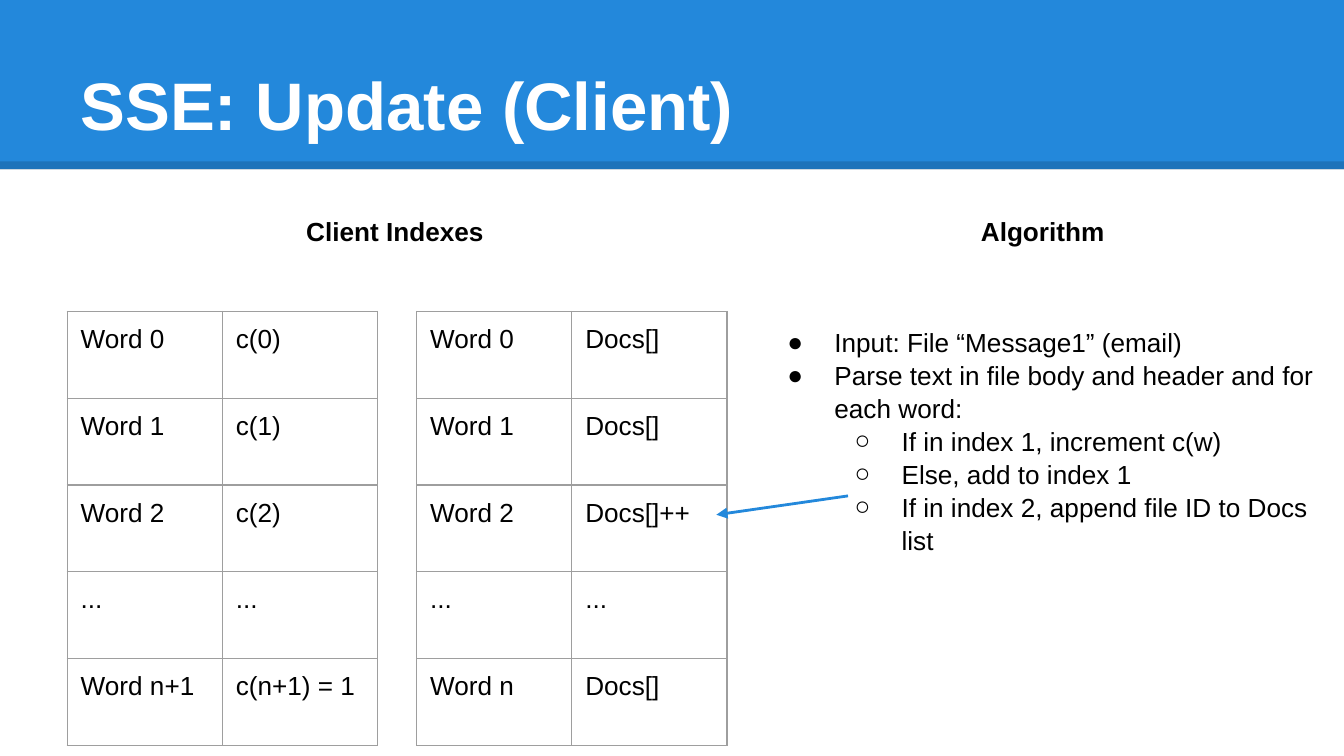
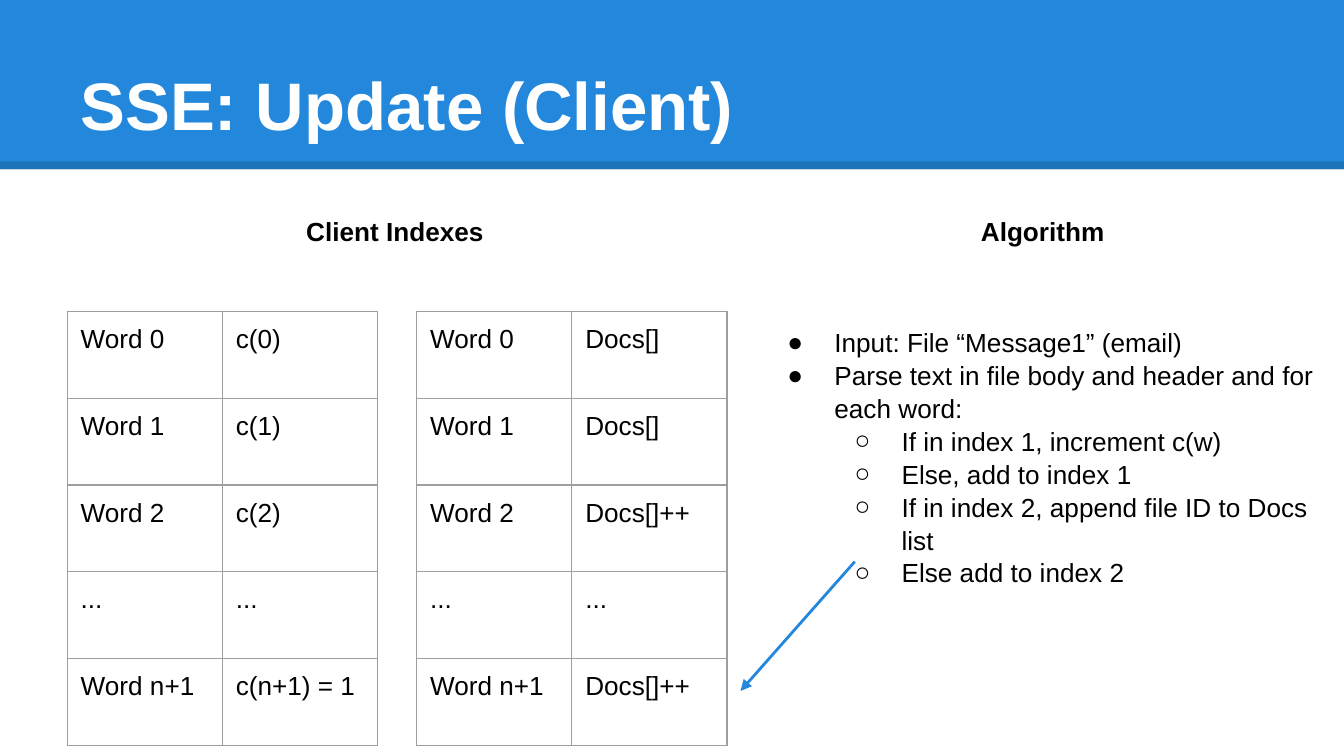
from lxml.etree import SubElement
from pptx import Presentation
from pptx.dml.color import RGBColor
from pptx.enum.shapes import MSO_CONNECTOR as Connector, MSO_SHAPE as Shape
from pptx.enum.text import MSO_ANCHOR as Anchor, MSO_AUTO_SIZE as AutoSize, PP_ALIGN as Align
from pptx.oxml import parse_xml
from pptx.oxml.ns import nsdecls, qn
from pptx.util import Inches, Pt

BLUE, WHITE, BLACK, GREY = "2388DB", "FFFFFF", "000000", "9E9E9E"
FONT, TITLE_SIZE, BODY_SIZE = "Arial", 36, 14
INSET = Inches(0.1)
BULLETS = "●○"
TITLE_ONLY = 5


def color(hex_code):
    return RGBColor.from_string(hex_code)


class Deck:
    """Holds the style and the current slide; all places are percent of the slide's size."""

    def __init__(self):
        self.prs = Presentation()
        self.prs.slide_width, self.prs.slide_height = Inches(10), Inches(5.625)
        self.layout = self.prs.slide_layouts[TITLE_ONLY]
        self.slide = None

    def x(self, percent):
        return round(self.prs.slide_width * percent / 100)

    def y(self, percent):
        return round(self.prs.slide_height * percent / 100)

    def box(self, left, top, width, height):
        return self.x(left), self.y(top), self.x(width), self.y(height)

    def style(self, frame, size=BODY_SIZE, ink=BLACK, bold=False):
        for paragraph in frame.paragraphs:
            for run in paragraph.runs:
                font = run.font
                font.name, font.size, font.bold = FONT, Pt(size), bold
                font.color.rgb = color(ink)

    def inset(self, holder):
        """Set the margins of a text frame or a table cell."""
        holder.margin_left = holder.margin_right = INSET
        holder.margin_top = holder.margin_bottom = INSET

    def new_slide(self, heading):
        first = self.slide is None
        self.slide = self.prs.slides.add_slide(self.layout)
        if first:
            self.header_band()
        title = self.slide.shapes.title
        title.left, title.top, title.width, title.height = self.box(5, 4.1, 90, 16.7)
        frame = title.text_frame
        frame.text = heading
        frame.auto_size, frame.vertical_anchor = AutoSize.NONE, Anchor.BOTTOM
        frame.paragraphs[0].alignment = Align.LEFT
        self.inset(frame)
        self.style(frame, TITLE_SIZE, WHITE, True)

    def header_band(self):
        """Draw the band and its dark edge, then move both to the layout behind the title."""
        band = self.slide.shapes.add_shape(Shape.RECTANGLE, *self.box(0, 0, 100, 22.4))
        band.shadow.inherit = False
        band.fill.solid()
        band.fill.fore_color.rgb = color(BLUE)
        band.line.fill.background()
        edge = self.line((0, 21.9), (100, 21.9), BLACK, 4.5)
        ink = edge.line._get_or_add_ln().find(".//" + qn("a:srgbClr"))
        SubElement(ink, qn("a:alpha"), val="15000")

        for placeholder in list(self.layout.placeholders):
            if placeholder.placeholder_format.idx:
                placeholder.element.getparent().remove(placeholder.element)
        tree = self.layout.placeholders[0].element.getparent()
        for position, part in enumerate((band, edge), start=2):
            tree.insert(position, part.element)

    def line(self, start, end, ink, weight):
        connector = self.slide.shapes.add_connector(
            Connector.STRAIGHT, self.x(start[0]), self.y(start[1]), self.x(end[0]), self.y(end[1]))
        connector.line.color.rgb = color(ink)
        connector.line.width = Pt(weight)
        SubElement(connector.element.spPr, qn("a:effectLst"))
        return connector

    def arrow(self, start, end):
        connector = self.line(start, end, BLUE, 1.5)
        SubElement(connector.line._get_or_add_ln(), qn("a:tailEnd"), type="triangle")

    def text(self, content, place, bold=False):
        frame = self.slide.shapes.add_textbox(*self.box(*place)).text_frame
        frame.word_wrap = True
        frame.text = content
        self.inset(frame)
        self.style(frame, bold=bold)
        return frame

    def bullets(self, items, place):
        """Write (level, text) items as a bulleted list."""
        frame = self.text("\n".join(item for _, item in items), place)
        for paragraph, (level, _) in zip(frame.paragraphs, items):
            paragraph.level = level
            paragraph.line_spacing = 1.05
            props = paragraph._p.get_or_add_pPr()
            props.set("marL", str(Inches(0.5 * (level + 1))))
            props.set("indent", str(Inches(-0.35)))
            bullet_ink = SubElement(props, qn("a:buClr"))
            SubElement(bullet_ink, qn("a:srgbClr"), val=BLACK)
            SubElement(props, qn("a:buFont"), typeface=FONT)
            SubElement(props, qn("a:buChar"), char=BULLETS[level])

    def table(self, rows, place):
        table = self.slide.shapes.add_table(len(rows), len(rows[0]), *self.box(*place)).table
        table.first_row = table.horz_banding = False
        for cells, values in zip(table.rows, rows):
            for cell, value in zip(cells.cells, values):
                cell.text = value
                self.inset(cell)
                self.style(cell.text_frame)
                self.borders(cell)
                cell.fill.background()

    def borders(self, cell):
        props = cell._tc.get_or_add_tcPr()
        for side in "LRTB":
            props.append(parse_xml(
                f'<a:ln{side} {nsdecls("a")} w="{Pt(0.75)}"><a:solidFill>'
                f'<a:srgbClr val="{GREY}"/></a:solidFill></a:ln{side}>'))


COUNT_INDEX = [("Word 0", "c(0)"), ("Word 1", "c(1)"), ("Word 2", "c(2)"),
               ("...", "..."), ("Word n+1", "c(n+1) = 1")]
DOCS_INDEX = [("Word 0", "Docs[]"), ("Word 1", "Docs[]"), ("Word 2", "Docs[]++"), ("...", "...")]
STEPS = [
    (0, "Input: File “Message1” (email)"),
    (0, "Parse text in file body and header and for each word:"),
    (1, "If in index 1, increment c(w)"),
    (1, "Else, add to index 1"),
    (1, "If in index 2, append file ID to Docs list"),
]


def update_slide(deck, last_docs_row, steps, arrow_start, arrow_end):
    deck.new_slide("SSE: Update (Client)")
    deck.table(COUNT_INDEX, (5, 41.2, 23.1, 57.4))
    deck.text("Client Indexes", (21.8, 26.7, 41.5, 10.1), bold=True)
    deck.bullets(steps, (56.1, 41.2, 42.8, 57.4))
    deck.table(DOCS_INDEX + [last_docs_row], (31, 41.2, 23.1, 57.4))
    deck.text("Algorithm", (72, 26.7, 11.8, 8.5), bold=True)
    deck.arrow(arrow_start, arrow_end)


def main():
    deck = Deck()
    update_slide(deck, ("Word n", "Docs[]"), STEPS, (63.1, 65.6), (53.3, 68.1))
    update_slide(deck, ("Word n+1", "Docs[]++"), STEPS + [(1, "Else add to index 2")],
                 (63.6, 74.3), (55.1, 91.4))
    deck.prs.save("out.pptx")


if __name__ == "__main__":
    main()
